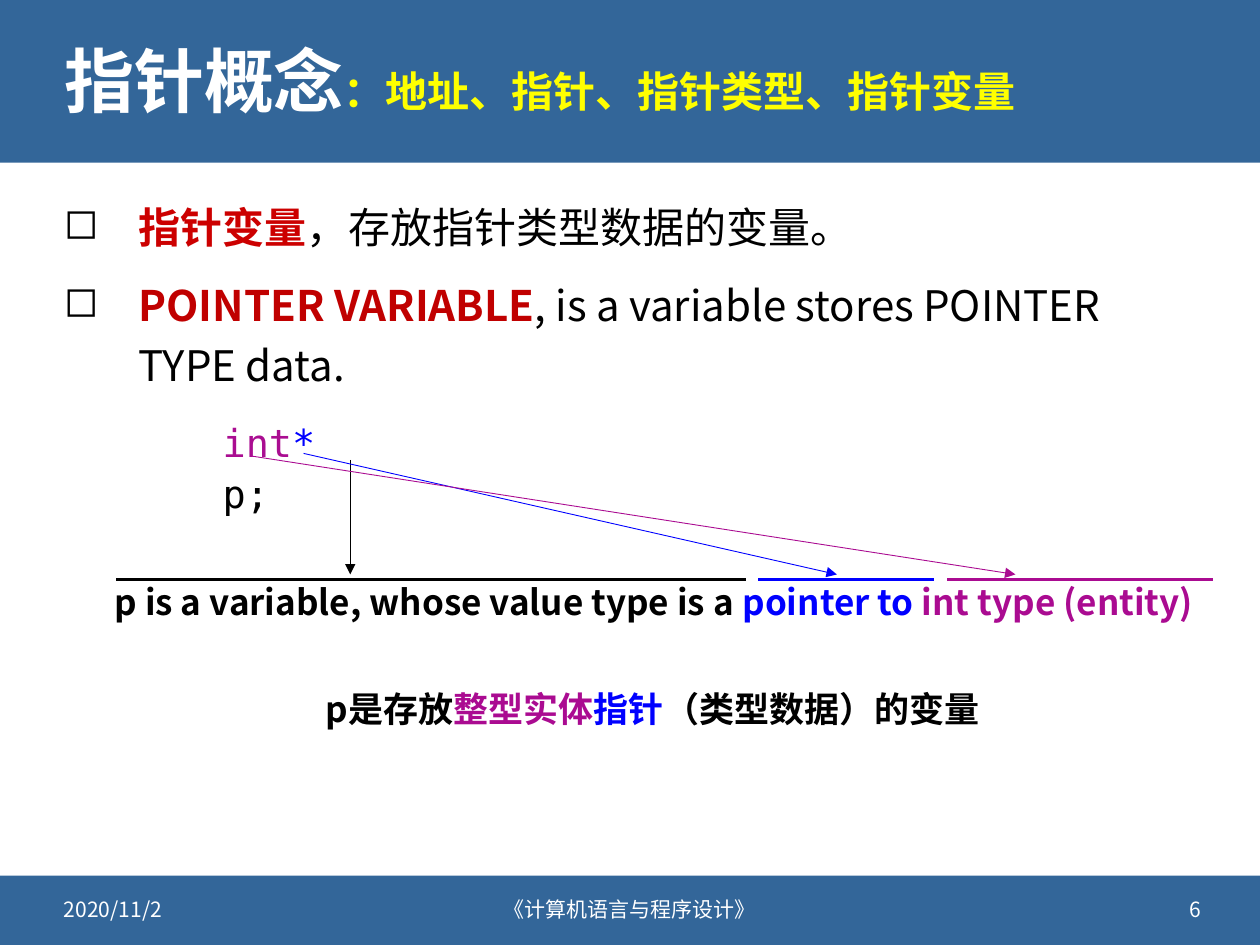
import pptx
import pptx.util
import pptx.dml.color
import pptx.enum.shapes
import pptx.enum.text
import pptx.oxml
import pptx.oxml.ns
from dataclasses import dataclass
from lxml import etree

Cm = pptx.util.Cm
Pt = pptx.util.Pt
Align = pptx.enum.text.PP_ALIGN
Anchor = pptx.enum.text.MSO_ANCHOR
qn = pptx.oxml.ns.qn


@dataclass(frozen=True)
class Theme:
    sans: str = "Noto Sans CJK SC"
    mono: str = "DejaVu Sans Mono"
    band: str = "336699"
    white: str = "FFFFFF"
    black: str = "000000"
    yellow: str = "FFFF00"
    red: str = "CC0000"
    crimson: str = "C00000"
    blue: str = "0000FF"
    purple: str = "AA0B91"
    code: str = "AA0D91"
    head: int = 40
    body: int = 24
    code_size: int = 22
    note: int = 20
    foot: int = 12
    thin: float = 0.5
    thick: float = 1.5


class Deck:
    def __init__(self, theme):
        self.theme = theme
        self.file = pptx.Presentation()
        self.file.slide_width = Cm(25.4)
        self.file.slide_height = Cm(19.05)
        self.slide = self.file.slides.add_slide(self.file.slide_layouts[5])

    def color(self, code):
        return pptx.dml.color.RGBColor.from_string(code)

    def fill(self, para, parts, size, face=None, bold=False):
        for part in parts:
            text, ink = part[:2]
            run = para.add_run()
            run.text = text
            font = run.font
            font.size = Pt(size)
            font.bold = part[2] if len(part) > 2 else bold
            font.color.rgb = self.color(ink)
            font.name = face or self.theme.sans
            east = etree.Element(qn("a:ea"), typeface=font.name)
            run.font._element.find(qn("a:latin")).addnext(east)

    def band(self, top, height):
        bar = self.slide.shapes.add_shape(
            pptx.enum.shapes.MSO_SHAPE.RECTANGLE,
            0, Cm(top), self.file.slide_width, Cm(height))
        bar.shadow.inherit = False
        bar.fill.solid()
        bar.fill.fore_color.rgb = self.color(self.theme.band)
        bar.line.fill.background()

    def title(self, box, parts):
        shape = self.slide.shapes.title
        shape.element.getparent().append(shape.element)
        shape.left, shape.top, shape.width, shape.height = map(Cm, box)
        frame = shape.text_frame
        frame.auto_size = pptx.enum.text.MSO_AUTO_SIZE.NONE
        frame.vertical_anchor = Anchor.MIDDLE
        para = frame.paragraphs[0]
        para.alignment = Align.LEFT
        para.line_spacing = 0.9
        for text, ink, size in parts:
            self.fill(para, [(text, ink)], size, bold=True)

    def text(self, box, parts, size, face=None, bold=False,
             align=Align.LEFT, anchor=Anchor.TOP, space=None):
        frame = self.slide.shapes.add_textbox(*map(Cm, box)).text_frame
        frame.word_wrap = True
        frame.vertical_anchor = anchor
        para = frame.paragraphs[0]
        para.alignment = align
        para.line_spacing = space
        self.fill(para, parts, size, face, bold)

    def bullets(self, box, items):
        frame = self.slide.shapes.add_textbox(*map(Cm, box)).text_frame
        frame.word_wrap = True
        for place, parts in enumerate(items):
            para = frame.add_paragraph() if place else frame.paragraphs[0]
            props = para._p.get_or_add_pPr()
            props.set("marL", str(Cm(1.5)))
            props.set("indent", str(-Cm(1.5)))
            tint = etree.SubElement(props, qn("a:buClr"))
            etree.SubElement(tint, qn("a:srgbClr"), val=self.theme.black)
            etree.SubElement(props, qn("a:buChar"), char="◻")
            para.line_spacing = 1.2
            if place:
                para.space_before = Pt(10)
            self.fill(para, parts, self.theme.body)

    def line(self, start, end, ink, width, arrow=False):
        link = self.slide.shapes.add_connector(
            pptx.enum.shapes.MSO_CONNECTOR.STRAIGHT,
            *map(Cm, (*start, *end)))
        link.line.color.rgb = self.color(ink)
        link.line.width = Pt(width)
        props = link.element.spPr
        if arrow:
            etree.SubElement(props.find(qn("a:ln")),
                             qn("a:tailEnd"), type="triangle")
        etree.SubElement(props, qn("a:effectLst"))


def main():
    t = Theme()
    deck = Deck(t)
    deck.band(0, 3.28)
    deck.band(17.65, 1.4)
    deck.title((1.04, 0.46, 23.34, 2.51), [
        ("指针概念", t.white, t.head),
        ("：地址、指针、指针类型、指针变量", t.yellow, t.body)])
    deck.bullets((1.04, 3.73, 22.96, 4.37), [
        [("指针变量", t.red, True),
         ("，存放指针类型数据的变量。", t.black)],
        [("POINTER VARIABLE", t.crimson, True),
         (", is a variable stores POINTER TYPE data.", t.black)]])

    for left, width, words, align in (
            (1.04, 6.1, "2020/11/2", Align.LEFT),
            (8.13, 9.14, "《计算机语言与程序设计》", Align.CENTER),
            (18.36, 6.1, "6", Align.RIGHT)):
        deck.text((left, 17.81, width, 1.02), [(words, t.white)], t.foot,
                  align=align, anchor=Anchor.MIDDLE)

    deck.text((4.24, 8.23, 3.33, 1.22),
              [("int", t.code), ("* ", t.blue), ("p;", t.black)],
              t.code_size, face=t.mono, space=1.1)
    deck.text((2.06, 11.58, 23.11, 1.12), [
        ("p is a variable, whose value type is a ", t.black),
        ("pointer to ", t.blue),
        ("int type (entity)", t.purple)], t.note, bold=True)
    deck.text((6.32, 13.74, 13.82, 1.12), [
        ("p是存放", t.black), ("整型实体", t.purple),
        ("指针", t.blue), ("（类型数据）的变量", t.black)],
        t.note, bold=True)

    rule, tip = 11.68, 11.58
    for left, right, start, goal, ink in (
            (2.34, 15.04, (7.06, 9.27), 7.06, t.black),
            (15.29, 18.82, (6.12, 9.14), 16.87, t.blue),
            (19.1, 24.46, (5.05, 9.19), 20.47, t.purple)):
        deck.line((left, rule), (right, rule), ink, t.thick)
        deck.line(start, (goal, tip), ink, t.thin, arrow=True)

    deck.file.save("out.pptx")


if __name__ == "__main__":
    main()
